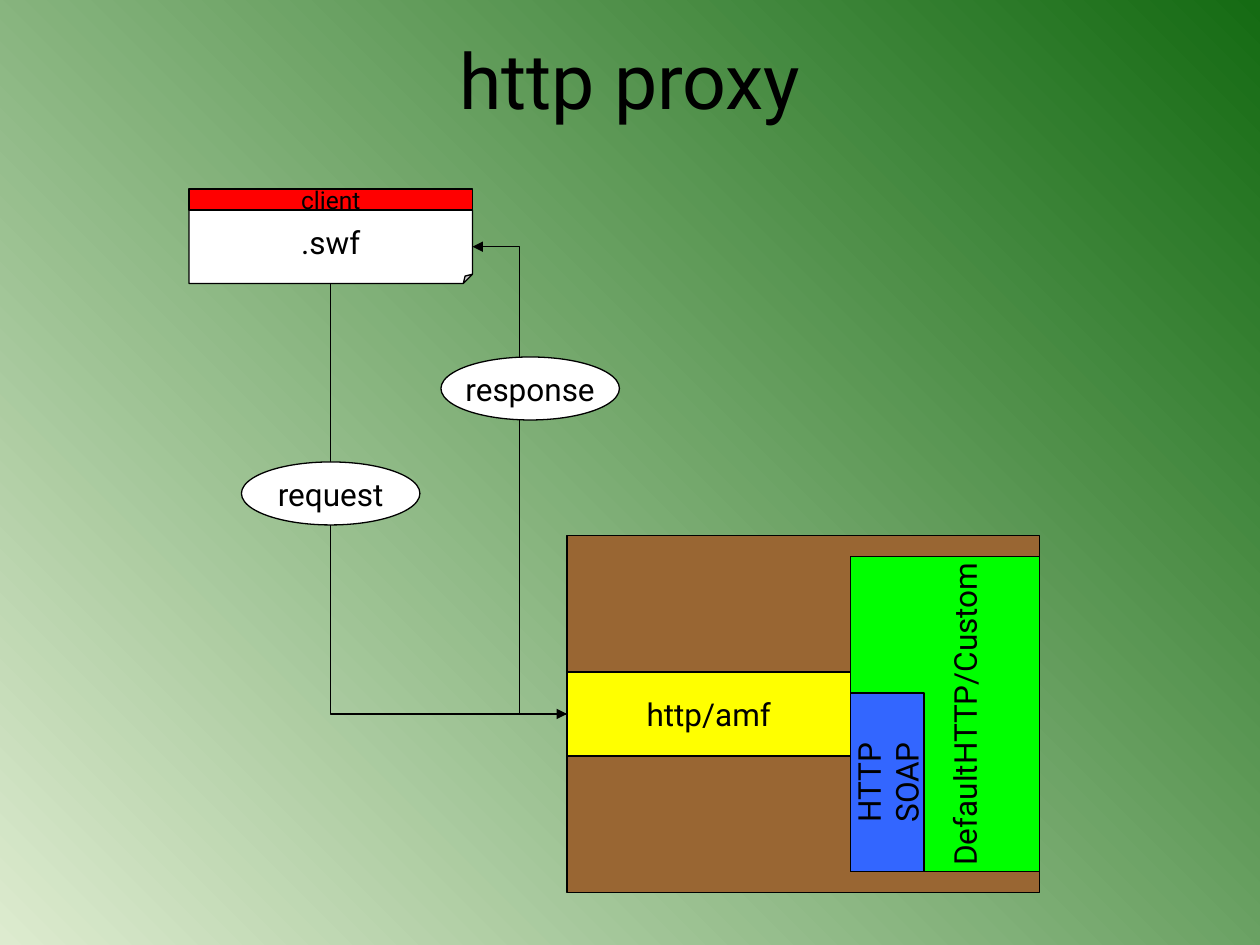
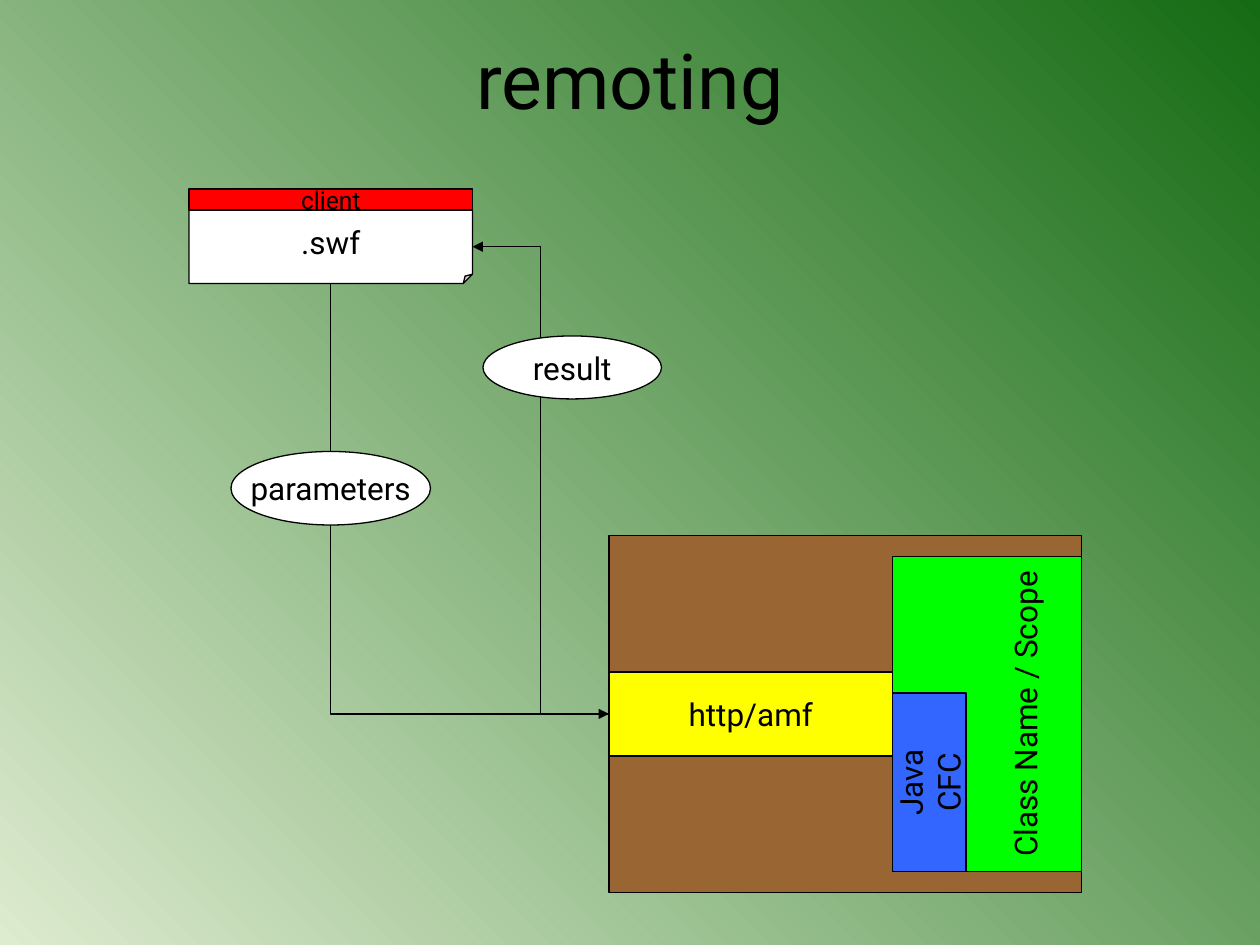
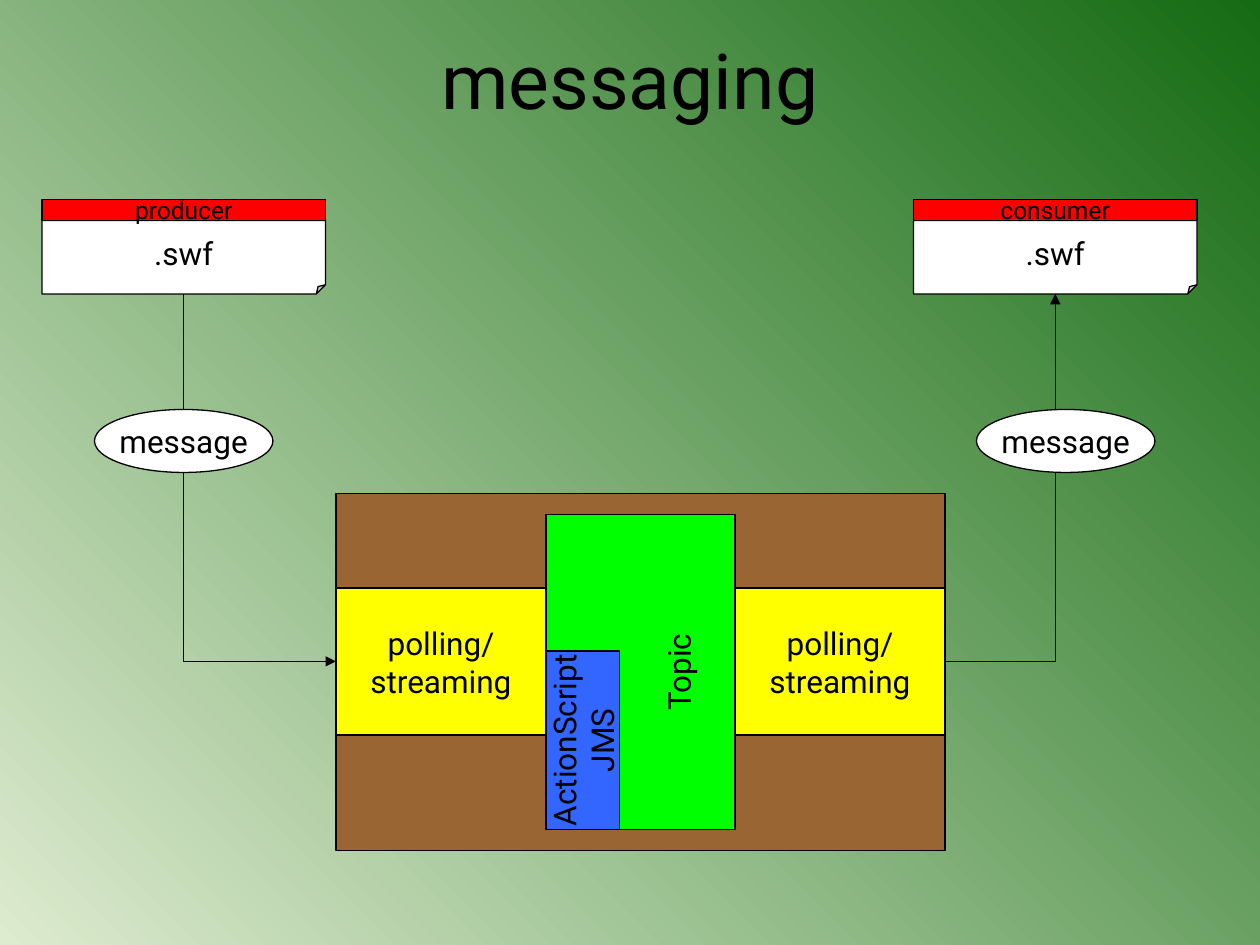
from pptx import Presentation
from pptx.dml.color import RGBColor
from pptx.enum.shapes import MSO_CONNECTOR, MSO_SHAPE as SHP
from pptx.enum.text import MSO_ANCHOR, PP_ALIGN
from pptx.oxml.ns import qn
from pptx.util import Cm, Pt
from lxml import etree

BLACK = RGBColor(0x00, 0x00, 0x00)
WHITE = RGBColor(0xFF, 0xFF, 0xFF)
RED = RGBColor(0xFF, 0x00, 0x00)
BROWN = RGBColor(0x99, 0x66, 0x33)
YELLOW = RGBColor(0xFF, 0xFF, 0x00)
GREEN = RGBColor(0x00, 0xFF, 0x00)
BLUE = RGBColor(0x33, 0x66, 0xFF)
BG_DARK = RGBColor(0x15, 0x6B, 0x13)
BG_LIGHT = RGBColor(0xDD, 0xEB, 0xCF)

FONT = "Roboto"
LINE_WIDTH = Pt(0.75)
TOP, LEFT, BOTTOM, RIGHT = range(4)  # connection sites of a rectangle


def u(n):
    """Length of n drawing-grid steps, twelve to the inch."""
    return Cm(n * 2.54 / 12)


# Text and shapes
def add_text(tf, lines, size):
    for i, line in enumerate(lines):
        p = tf.paragraphs[0] if i == 0 else tf.add_paragraph()
        p.alignment = PP_ALIGN.CENTER
        r = p.add_run()
        r.text = line
        r.font.name = FONT
        r.font.size = Pt(size)
        r.font.color.rgb = BLACK


def add_box(shapes, kind, x, y, w, h, fill, lines=(), size=18):
    sp = shapes.add_shape(kind, u(x), u(y), u(w), u(h))
    sp.shadow.inherit = False
    sp.fill.solid()
    sp.fill.fore_color.rgb = fill
    sp.line.color.rgb = BLACK
    sp.line.width = LINE_WIDTH
    tf = sp.text_frame
    tf.word_wrap = False
    tf.vertical_anchor = MSO_ANCHOR.MIDDLE
    add_text(tf, lines, size)
    return sp


def add_upright(shapes, x, y, w, h, fill, lines):
    """Box that fills x, y, w, h with its text reading upwards."""
    sp = add_box(shapes, SHP.RECTANGLE, x + (w - h) / 2, y + (h - w) / 2,
                 h, w, fill, lines)
    sp.rotation = 270
    return sp


def add_link(s, start, end, arrow, preset="bentConnector3"):
    """Elbow line between two (shape, site) pairs; arrow is headEnd or tailEnd."""
    c = s.shapes.add_connector(MSO_CONNECTOR.ELBOW, 0, 0, 0, 0)
    c.begin_connect(*start)
    c.end_connect(*end)
    c.line.color.rgb = BLACK
    c.line.width = LINE_WIDTH
    spPr = c._element.spPr
    spPr.find(qn("a:prstGeom")).set("prst", preset)
    etree.SubElement(spPr.find(qn("a:ln")), qn("a:" + arrow), type="triangle")
    etree.SubElement(spPr, qn("a:effectLst"))


# Regions
def add_client(s, x, y, role):
    shapes = s.shapes.add_group_shape().shapes
    page = add_box(shapes, SHP.FOLDED_CORNER, x, y + 2, 27, 7, WHITE, [".swf"])
    # python-pptx lists no adjustment for the folded corner
    geom = page._element.spPr.find(qn("a:prstGeom"))
    etree.SubElement(geom.find(qn("a:avLst")), qn("a:gd"), name="adj", fmla="val 12500")
    add_box(shapes, SHP.RECTANGLE, x, y, 27, 2, RED, [role], 14)
    return page


def add_bubble(s, x, y, label, w=17, h=6):
    add_box(s.shapes, SHP.OVAL, x, y, w, h, WHITE, [label])


def add_server(s, x, y, w, channel, target, adapters, indent, sides=1):
    """Server with a channel (lines, top, width, height) on one or both sides."""
    lines, top, cw, ch = channel
    add_box(s.shapes, SHP.RECTANGLE, x, y, w, 34, BROWN)
    channels = [add_box(s.shapes, SHP.RECTANGLE, cx, y + top, cw, ch, YELLOW, lines)
                for cx in (x, x + w - cw)[:sides]]
    dest = add_upright(s.shapes, x + cw, y + 2, 18, 30, GREEN, [target])
    dest.text_frame.margin_top = Cm(indent)
    add_upright(s.shapes, x + cw, y + 15, 7, 17, BLUE, adapters)
    return channels


# Slides
def add_slide(prs, title):
    s = prs.slides.add_slide(prs.slide_layouts.get_by_name("Title Only"))
    sp = s.shapes.title
    sp.left, sp.top, sp.width, sp.height = u(6), u(0), u(108), u(15)
    sp.text_frame.vertical_anchor = MSO_ANCHOR.MIDDLE
    add_text(sp.text_frame, [title], 44)
    return s


def add_call_slide(prs, title, server_x, target, adapters, indent, bubbles):
    s = add_slide(prs, title)
    client = add_client(s, 18, 18, "client")
    channel, = add_server(s, server_x, 51, 45, (["http/amf"], 13, 27, 8),
                          target, adapters, indent)
    add_link(s, (channel, LEFT), (client, BOTTOM), "headEnd", "bentConnector2")
    add_link(s, (channel, LEFT), (client, RIGHT), "tailEnd")
    for bubble in bubbles:
        add_bubble(s, *bubble)


def add_messaging_slide(prs):
    s = add_slide(prs, "messaging")
    producer = add_client(s, 4, 19, "producer")
    consumer = add_client(s, 87, 19, "consumer")
    inlet, outlet = add_server(s, 32, 47, 58, (["polling/", "streaming"], 9, 20, 14),
                               "Topic", ["ActionScript", "JMS"], 1.65, sides=2)
    add_link(s, (inlet, LEFT), (producer, BOTTOM), "headEnd", "bentConnector2")
    add_link(s, (outlet, RIGHT), (consumer, BOTTOM), "tailEnd", "bentConnector2")
    for x in (9, 93):
        add_bubble(s, x, 39, "message")


def set_background(master):
    fill = master.background.fill
    fill.gradient()
    fill.gradient_angle = 225
    for stop, color in zip(fill.gradient_stops, (BG_DARK, BG_LIGHT)):
        stop.color.rgb = color


def main():
    prs = Presentation()
    prs.slide_width, prs.slide_height = Cm(25.4), Cm(19.05)
    set_background(prs.slide_master)
    add_call_slide(prs, "http proxy", 54, "DefaultHTTP/Custom", ["HTTP", "SOAP"], 0.9,
                   [(23, 44, "request"), (42, 34, "response")])
    add_call_slide(prs, "remoting", 58, "Class Name / Scope", ["Java", "CFC"], 1.65,
                   [(22, 43, "parameters", 19, 7), (46, 32, "result")])
    add_messaging_slide(prs)
    prs.save("out.pptx")


if __name__ == "__main__":
    main()
